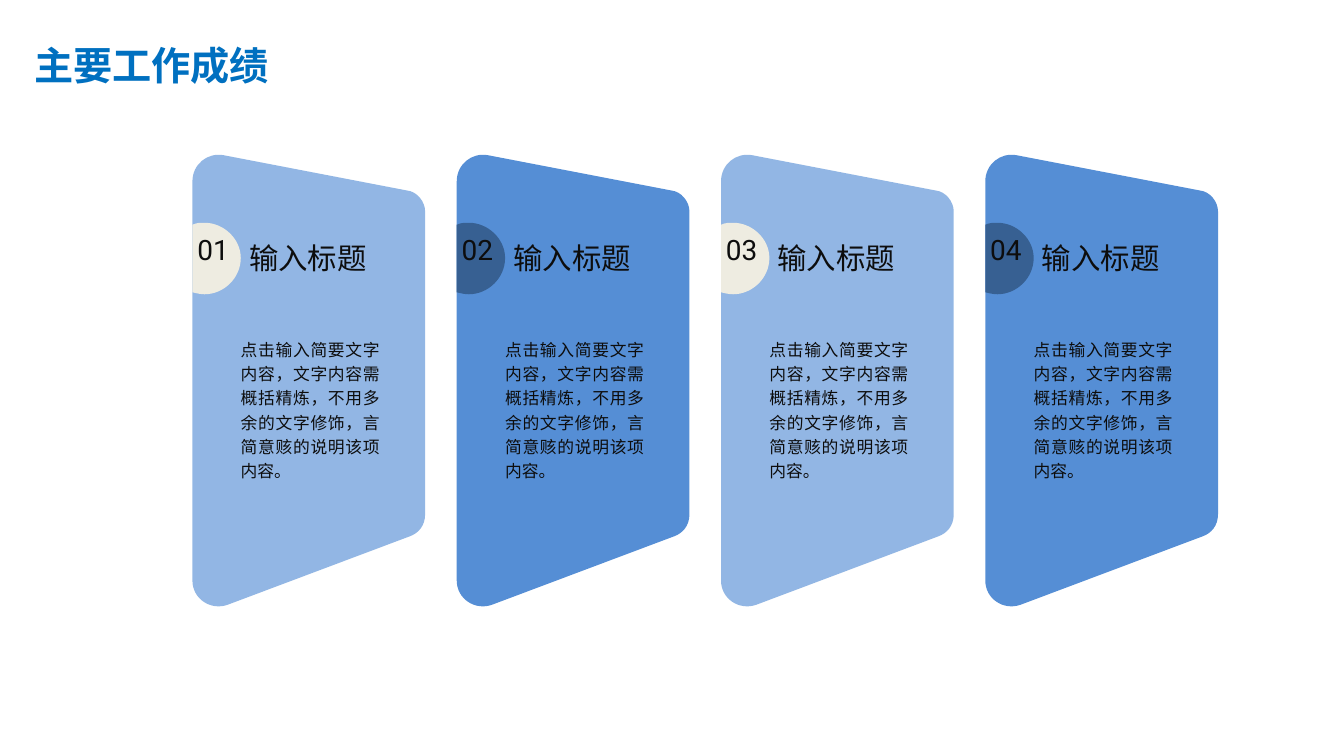
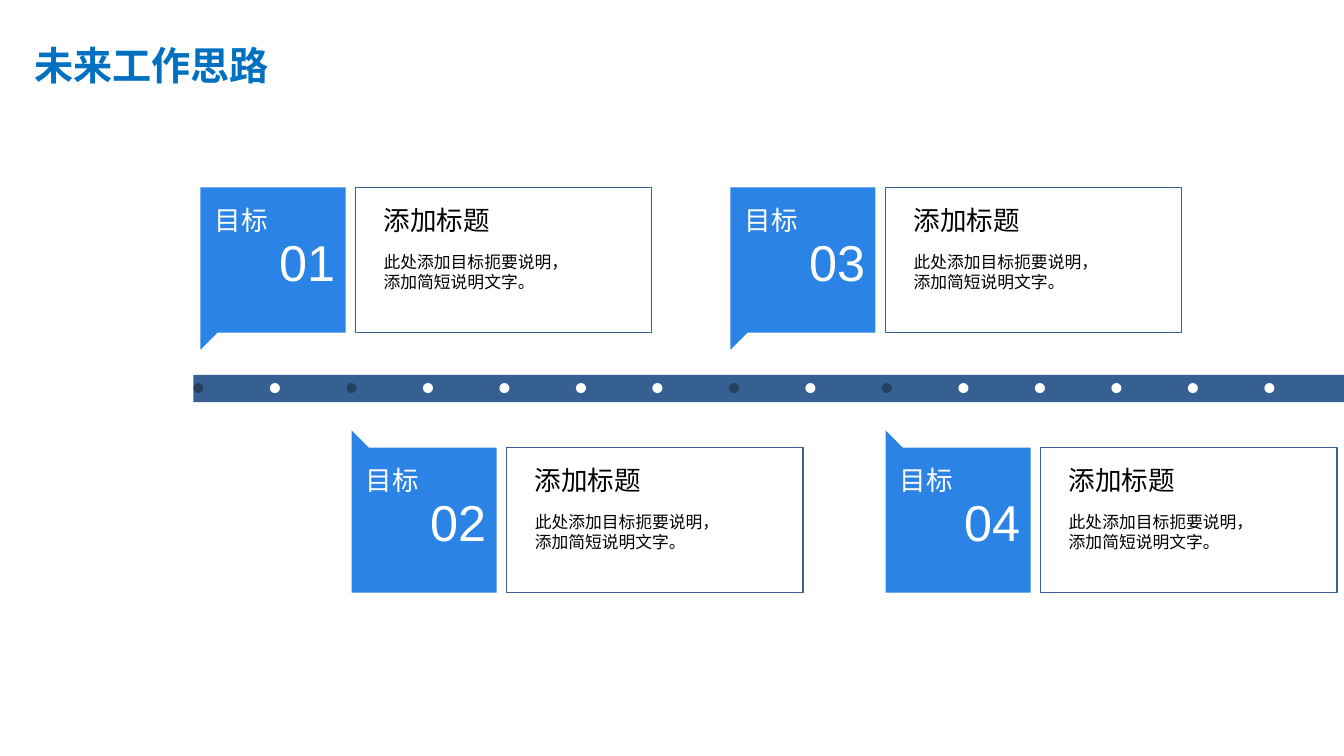
from dataclasses import dataclass

from lxml import etree
from pptx import Presentation
from pptx.dml.color import RGBColor
from pptx.enum.shapes import MSO_SHAPE as Shape
from pptx.enum.text import MSO_ANCHOR as Anchor, MSO_AUTO_SIZE as AutoSize, PP_ALIGN as Align
from pptx.oxml.ns import qn
from pptx.util import Inches, Pt


@dataclass(frozen=True)
class Theme:
    # Colours
    title: str = "0070C0"
    card: str = "558ED5"
    cream: str = "EEECE1"
    navy: str = "376092"
    dark_dot: str = "254061"
    tag: str = "2B83E5"
    ink: str = "0D0D0D"
    black: str = "000000"
    white: str = "FFFFFF"
    # Fonts
    heading_font: str = "Noto Sans CJK SC"
    number_font: str = "Roboto"
    plain_font: str = "Arial"
    # Type sizes
    title_size: int = 28
    card_heading: int = 21
    card_number: int = 20
    goal_heading: int = 19
    goal_number: int = 36
    body: int = 12


THEME = Theme()
DEFAULT_INSETS = (0.1, 0.05)
CARD_INSETS = (0.13, 0.07)
NO_INSETS = (0, 0)

# Outlines: pairs are corners, six numbers are a Bezier curve
CARD_OUTLINE = [
    (0.31, 0.03), (2.13, 0.38), (2.23, 0.39, 2.31, 0.49, 2.31, 0.59),
    (2.31, 3.59), (2.31, 3.71, 2.24, 3.78, 2.16, 3.81),
    (0.35, 4.49), (0.18, 4.55, 0, 4.43, 0, 4.25),
    (0, 0.29), (0, 0.12, 0.15, 0, 0.31, 0.03),
]
BADGE_OUTLINE = [
    (0.12, 0.71), (0.08, 0.71, 0.04, 0.7, 0, 0.69),
    (0, 0.02), (0.04, 0, 0.08, 0, 0.12, 0),
    (0.31, 0, 0.48, 0.16, 0.48, 0.35), (0.48, 0.55, 0.31, 0.71, 0.12, 0.71),
]
TAG_OUTLINE = [(0, 0), (1.44, 0), (1.44, 1.44), (0.17, 1.44), (0, 1.61)]


def color(code):
    return RGBColor.from_string(code)


def write(shape, text, size, ink, font=THEME.plain_font, bold=False, align=Align.LEFT,
          spacing=None, wrap=True, insets=DEFAULT_INSETS):
    """Fill a shape with text, one paragraph for each line."""
    frame = shape.text_frame
    frame.auto_size = AutoSize.NONE
    frame.word_wrap = wrap
    frame.vertical_anchor = Anchor.TOP
    frame.margin_left = frame.margin_right = Inches(insets[0])
    frame.margin_top = frame.margin_bottom = Inches(insets[1])
    for number, line in enumerate(text.split("\n")):
        paragraph = frame.add_paragraph() if number else frame.paragraphs[0]
        paragraph.alignment = align
        paragraph.space_before = Pt(0)
        if spacing:
            paragraph.line_spacing = Pt(spacing)
        run = paragraph.add_run()
        run.text = line
        run.font.size = Pt(size)
        run.font.bold = bold
        run.font.name = font
        run.font.color.rgb = color(ink)
        latin = run.font._element.find(qn("a:latin"))
        east_asian = etree.Element(qn("a:ea"))
        east_asian.set("typeface", font)
        latin.addnext(east_asian)


def add_text(shapes, box, text, size, ink, **style):
    write(shapes.add_textbox(*map(Inches, box)), text, size, ink, **style)


def paint(shape, fill=None, line=None, opacity=100):
    shape.shadow.inherit = False
    if fill:
        shape.fill.solid()
        shape.fill.fore_color.rgb = color(fill)
    else:
        shape.fill.background()
    if line:
        shape.line.color.rgb = color(line)
        shape.line.width = Pt(1)
    else:
        shape.line.fill.background()
    if opacity < 100:
        code = shape._element.spPr.find(qn("a:solidFill"))[0]
        etree.SubElement(code, qn("a:alpha")).set("val", str(opacity * 1000))


def add_shape(shapes, kind, box, **look):
    paint(shapes.add_shape(kind, *map(Inches, box)), **look)


def add_outline(shapes, left, top, outline, **look):
    """Draw through every point, then join each curve's three points into a Bezier."""
    points = [(Inches(left + x), Inches(top + y))
              for part in outline for x, y in zip(part[::2], part[1::2])]
    builder = shapes.build_freeform(*points[0])
    builder.add_line_segments(points[1:], close=True)
    shape = builder.convert_to_shape()
    segments = iter(list(shape._element.iter(qn("a:lnTo"))))
    for part in outline[1:]:
        segment = next(segments)
        if len(part) == 6:
            segment.tag = qn("a:cubicBezTo")
            for _ in range(2):
                joined = next(segments)
                segment.append(joined[0])
                joined.getparent().remove(joined)
    paint(shape, **look)


def add_titled_slide(deck, title):
    slide = deck.slides.add_slide(deck.slide_layouts[5])
    heading = slide.shapes.title
    heading.left, heading.top = Inches(0.24), Inches(0.36)
    heading.width, heading.height = Inches(3.7), Inches(0.57)
    write(heading, title, THEME.title_size, THEME.title, font=THEME.heading_font, bold=True)
    return slide.shapes


def add_card(shapes, left, top, number, heading, body, badge, opacity):
    add_outline(shapes, left, top, CARD_OUTLINE, fill=THEME.card, opacity=opacity)
    add_outline(shapes, left, top + 0.7, BADGE_OUTLINE, fill=badge)
    add_text(shapes, (left + 0.05, top + 0.8, 0.31, 0.34), number, THEME.card_number,
             THEME.ink, font=THEME.number_font, align=Align.CENTER, wrap=False,
             insets=NO_INSETS)
    add_text(shapes, (left + 0.35, top + 1.75, 1.64, 1.59), body, THEME.body, THEME.ink,
             font=THEME.heading_font, align=Align.JUSTIFY, spacing=17.3, insets=CARD_INSETS)
    add_text(shapes, (left + 0.41, top + 0.8, 1.47, 0.49), heading, THEME.card_heading,
             THEME.ink, font=THEME.heading_font, align=Align.CENTER, wrap=False,
             insets=CARD_INSETS)


def build_achievements(deck):
    shapes = add_titled_slide(deck, "主要工作成绩")
    first, last, count = 1.91, 9.78, 4
    pitch = (last - first) / (count - 1)
    looks = [(THEME.cream, 64), (THEME.navy, 100)]
    for index in range(count):
        badge, opacity = looks[index % 2]
        add_card(shapes, first + index * pitch, 1.51, f"{index + 1:02}", "输入标题",
                 "点击输入简要文字内容，文字内容需概括精炼，不用多余的文字修饰，言简意赅的说明该项内容。",
                 badge, opacity)


def add_timeline(shapes, left, top, width):
    add_shape(shapes, Shape.RECTANGLE, (left, top, width, 0.27), fill=THEME.navy)
    goal_dots = {0, 2, 7, 9}
    count, span = 15, 10.63
    for index in range(count):
        add_shape(shapes, Shape.OVAL,
                  (left + index * span / (count - 1), top + 0.08, 0.1, 0.1),
                  fill=THEME.dark_dot if index in goal_dots else THEME.white)


def add_goal(shapes, left, top, number, above):
    # Tag, with its pointer towards the timeline
    tag = shapes.add_group_shape().shapes
    outline = TAG_OUTLINE if above else [(x, 1.44 - y) for x, y in TAG_OUTLINE]
    add_outline(tag, left, top, outline, fill=THEME.tag)
    add_text(tag, (left + 0.78, top + 0.43, 0.61, 0.61), number, THEME.goal_number,
             THEME.white, insets=NO_INSETS)
    add_text(tag, (left + 0.04, top + 0.11, 0.73, 0.42), "目标", THEME.goal_heading,
             THEME.white, align=Align.CENTER, wrap=False)
    # Framed description
    panel = shapes.add_group_shape().shapes
    add_shape(panel, Shape.RECTANGLE, (left + 1.54, top, 2.94, 1.44), line=THEME.navy)
    add_text(panel, (left + 1.72, top + 0.11, 2.13, 0.42), "添加标题", THEME.goal_heading,
             THEME.black)
    add_text(panel, (left + 1.72, top + 0.59, 2.53, 0.5),
             "此处添加目标扼要说明，\n添加简短说明文字。", THEME.body, THEME.black,
             align=Align.JUSTIFY)


def build_plans(deck):
    shapes = add_titled_slide(deck, "未来工作思路")
    add_timeline(shapes, 1.92, 3.72, 11.42)
    for index, left in enumerate((1.99, 3.49, 7.25, 8.79)):
        above = index % 2 == 0
        add_goal(shapes, left, 1.86 if above else 4.44, f"{index + 1:02}", above)


def main():
    deck = Presentation()
    deck.slide_width, deck.slide_height = Inches(13.34), Inches(7.5)
    build_achievements(deck)
    build_plans(deck)
    deck.save("out.pptx")


if __name__ == "__main__":
    main()
